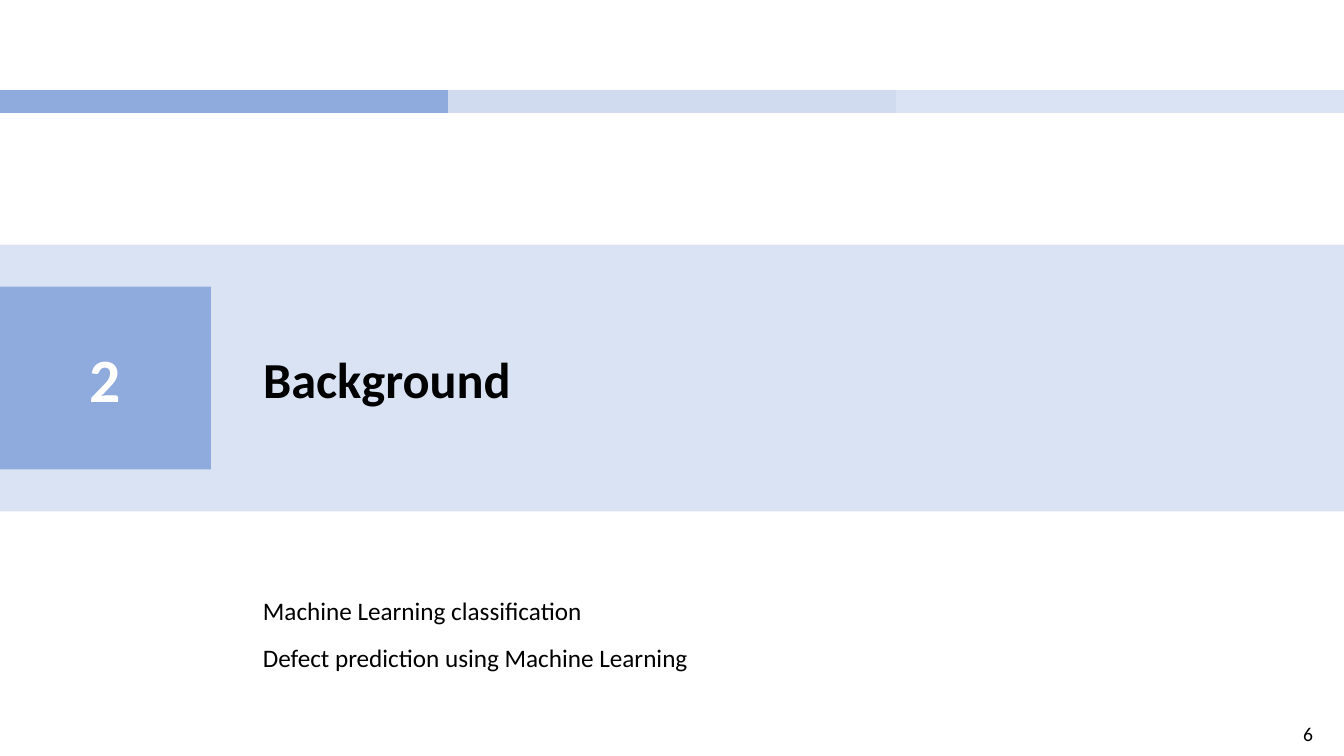
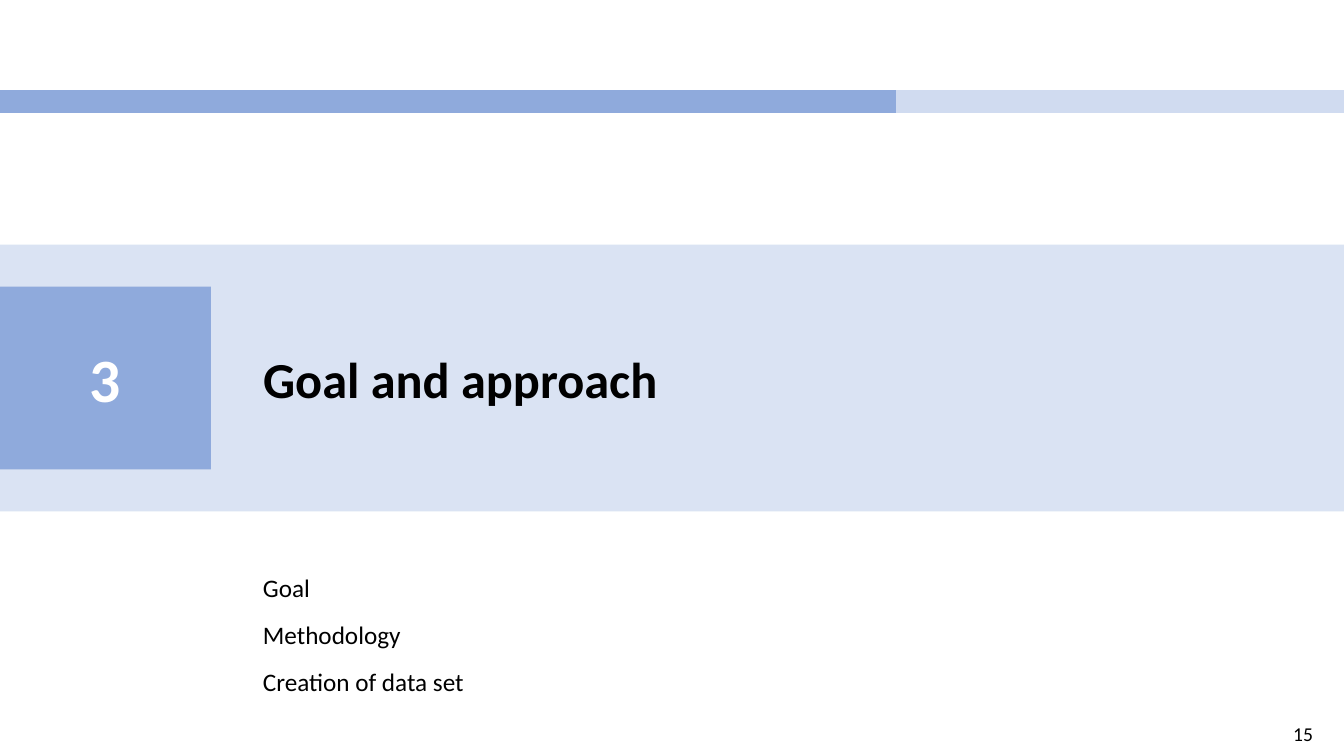
"""Build two section divider slides with a progress bar."""
from dataclasses import dataclass
from itertools import pairwise

from lxml import etree
from pptx import Presentation
from pptx.dml.color import RGBColor
from pptx.enum.shapes import MSO_SHAPE
from pptx.enum.text import MSO_ANCHOR, MSO_AUTO_SIZE, PP_ALIGN
from pptx.oxml.ns import qn
from pptx.util import Pt

RECTANGLE = MSO_SHAPE.RECTANGLE
MIDDLE = MSO_ANCHOR.MIDDLE
NO_AUTOFIT = MSO_AUTO_SIZE.NONE
LEFT, CENTER, RIGHT = PP_ALIGN.LEFT, PP_ALIGN.CENTER, PP_ALIGN.RIGHT

EMU_PER_PX = 9525
SLIDE_W, SLIDE_H = 1280, 720
TEXT_LEFT, TEXT_W = 241, 1000
TITLE_ONLY = 5
PLAIN_TABLE_STYLE = "{2D5ABB26-0587-4C30-8999-92F81FD0307C}"
PROGRESS_STOPS = (0, 6, 9, 12, 14, 16, 18)


@dataclass(frozen=True)
class Theme:
    """Colours and type sizes of the deck."""
    font: str = "Calibri"
    accent: str = "8FAADC"
    current: str = "D0DBF0"
    pale: str = "DAE3F3"
    ink: str = "000000"
    paper: str = "FFFFFF"
    title_pt: int = 36
    number_pt: int = 44
    topic_pt: int = 18
    page_pt: int = 14
    topic_gap_pt: int = 12


@dataclass(frozen=True)
class Section:
    """Content of one divider; done and current count progress cells."""
    number: str
    title: str
    topics: tuple
    page: str
    done: int
    current: int


THEME = Theme()
SECTIONS = (
    Section("2", "Background",
            ("Machine Learning classification",
             "Defect prediction using Machine Learning"), "6", 1, 2),
    Section("3", "Goal and approach",
            ("Goal", "Methodology", "Creation of data set"), "15", 3, 3),
)


def px(*lengths):
    """Turn pixel lengths into EMU."""
    return [length * EMU_PER_PX for length in lengths]


def paint(target, color):
    """Give a shape or cell a solid fill."""
    target.fill.solid()
    target.fill.fore_color.rgb = RGBColor.from_string(color)


def write(frame, lines, size, color=THEME.ink, bold=False, align=LEFT, gap=0):
    """Write lines as paragraphs, centred vertically in the frame."""
    frame.word_wrap = True
    frame.auto_size = NO_AUTOFIT
    frame.vertical_anchor = MIDDLE
    for index, line in enumerate(lines):
        paragraph = frame.add_paragraph() if index else frame.paragraphs[0]
        paragraph.alignment = align
        paragraph.space_after = Pt(gap)
        run = paragraph.add_run()
        run.text = line
        run.font.name = THEME.font
        run.font.size = Pt(size)
        run.font.bold = bold
        run.font.color.rgb = RGBColor.from_string(color)


def add_block(slide, box, color):
    """Add a flat rectangle and return it."""
    block = slide.shapes.add_shape(RECTANGLE, *px(*box))
    block.shadow.inherit = False
    block.line.fill.background()
    paint(block, color)
    return block


def add_text(slide, box, lines, size, **style):
    """Add a text box."""
    write(slide.shapes.add_textbox(*px(*box)).text_frame, lines, size, **style)


def place_title(slide, text):
    """Format the title placeholder and bring it in front of the band."""
    title = slide.shapes.title
    title.left, title.top, title.width, title.height = px(TEXT_LEFT, 326, TEXT_W, 68)
    write(title.text_frame, [text], THEME.title_pt, bold=True)
    slide.shapes._spTree.append(title._element)


def add_progress(slide, done, current):
    """Add the progress bar as a one-row table."""
    count = len(PROGRESS_STOPS) - 1
    frame = slide.shapes.add_table(1, count, *px(0, 86, SLIDE_W, 22))
    for style_id in frame._element.iter(qn("a:tableStyleId")):
        style_id.text = PLAIN_TABLE_STYLE
    table = frame.table
    table.first_row = table.horz_banding = False
    edges = [round(SLIDE_W * stop / PROGRESS_STOPS[-1]) for stop in PROGRESS_STOPS]
    rest = count - done - current
    colors = [THEME.accent] * done + [THEME.current] * current + [THEME.pale] * rest
    for index, (start, end) in enumerate(pairwise(edges)):
        table.columns[index].width = px(end - start)[0]
        cell = table.cell(0, index)
        cell.margin_top = cell.margin_bottom = 0
        paint(cell, colors[index])
        empty_line = cell.text_frame.paragraphs[0]._p
        etree.SubElement(empty_line, qn("a:endParaRPr"), sz="800")


def add_section(deck, section):
    """Add one section divider slide."""
    slide = deck.slides.add_slide(deck.slide_layouts[TITLE_ONLY])
    add_block(slide, (0, 233, SLIDE_W, 254), THEME.pale)
    number_block = add_block(slide, (0, 273, 201, 174), THEME.accent)
    write(number_block.text_frame, [section.number], THEME.number_pt,
          color=THEME.paper, bold=True, align=CENTER)
    place_title(slide, section.title)
    add_text(slide, (TEXT_LEFT, 532, TEXT_W, 144), section.topics,
             THEME.topic_pt, gap=THEME.topic_gap_pt)
    add_text(slide, (916, 683, 344, 32), [section.page], THEME.page_pt, align=RIGHT)
    add_progress(slide, section.done, section.current)


def main():
    """Build and save the deck."""
    deck = Presentation()
    deck.slide_width, deck.slide_height = px(SLIDE_W, SLIDE_H)
    for section in SECTIONS:
        add_section(deck, section)
    deck.save("out.pptx")


if __name__ == "__main__":
    main()
